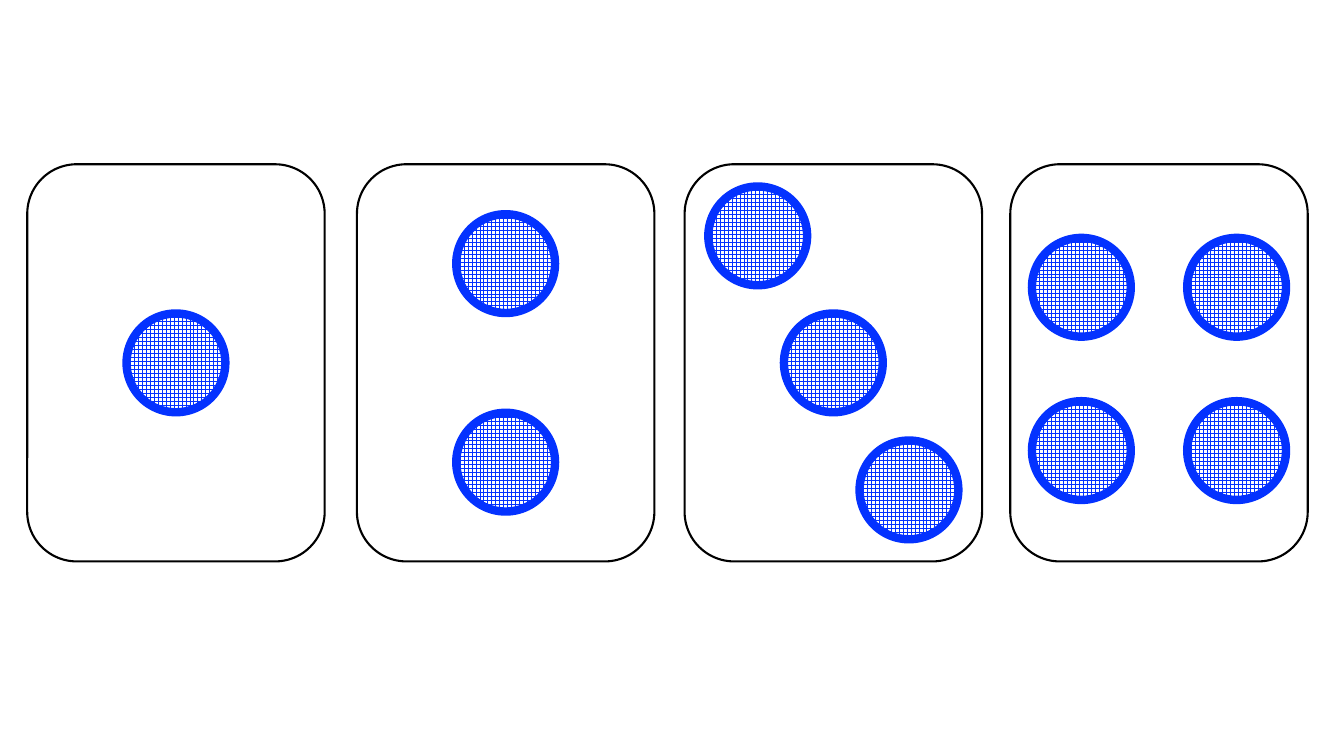
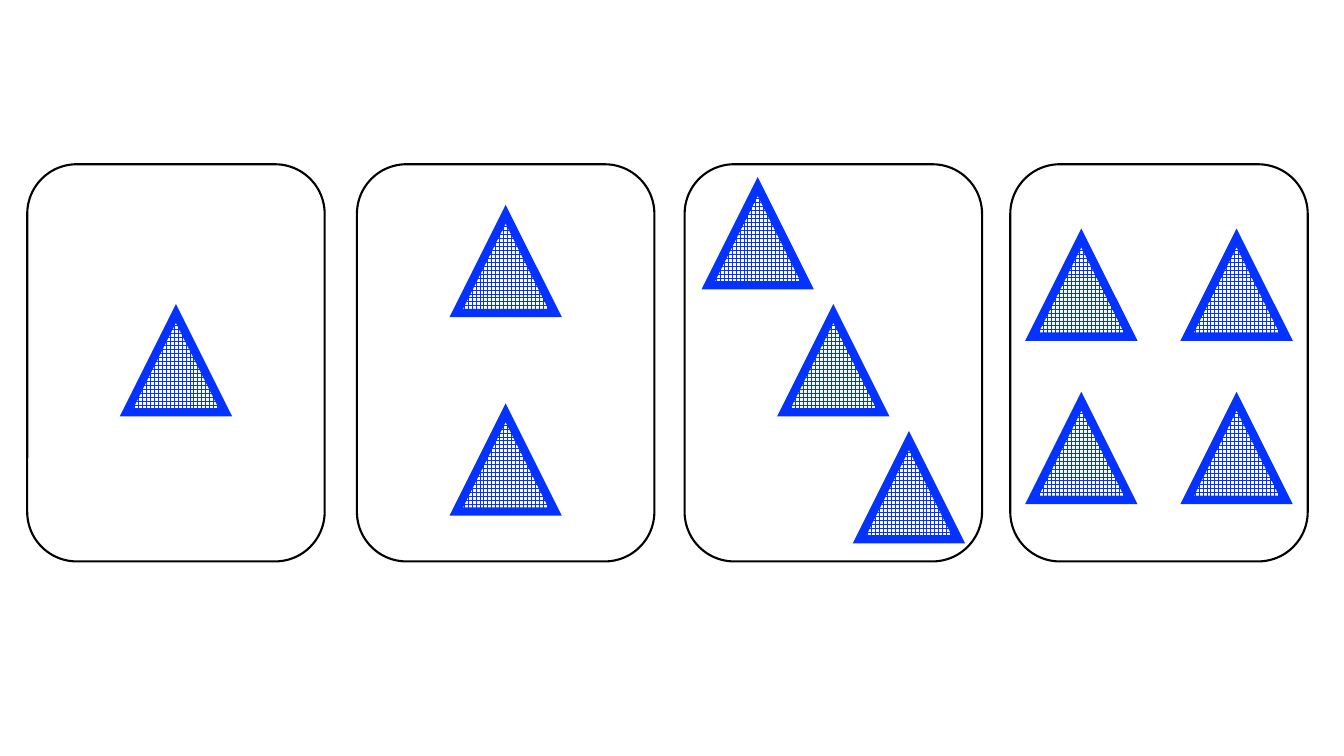
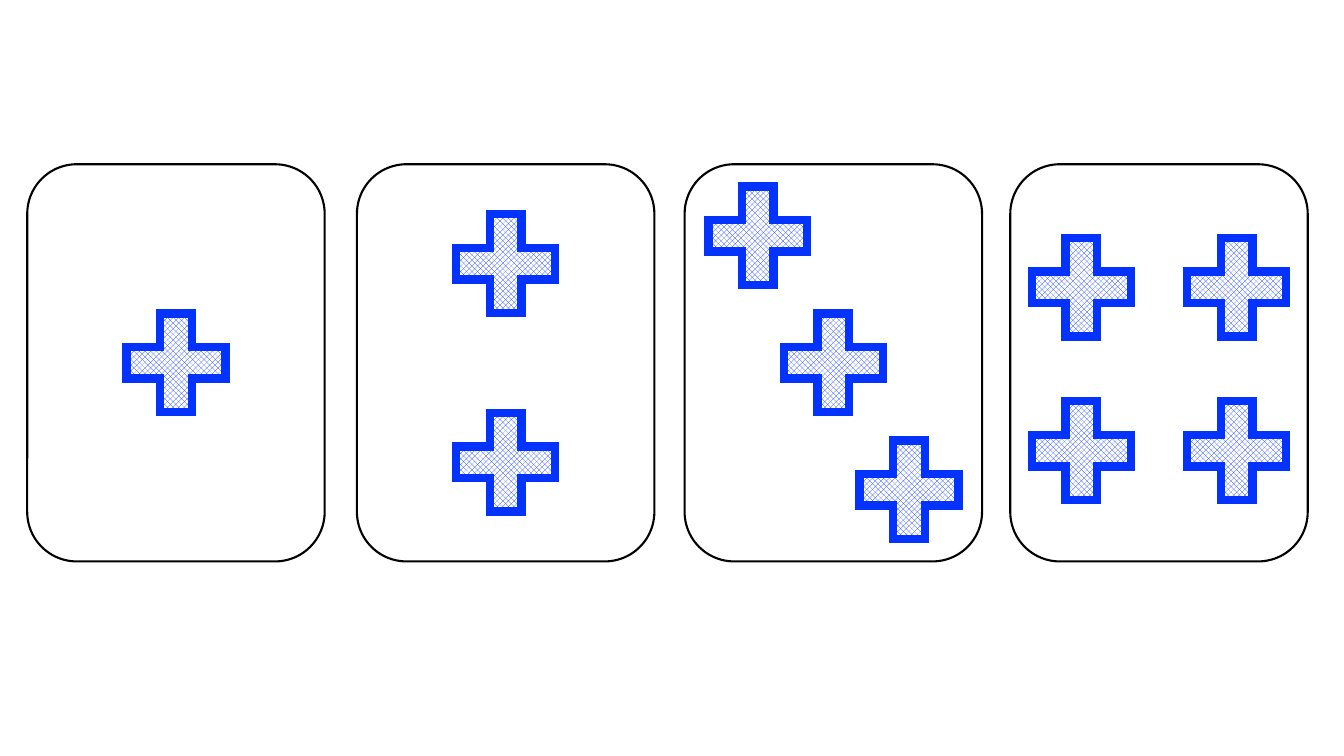
"""Three slides of playing cards showing one to four symbols each."""
from dataclasses import dataclass
from typing import Any

from lxml import etree
from pptx import Presentation
from pptx import util as u
from pptx.dml.color import RGBColor
from pptx.enum import dml, shapes
from pptx.oxml.ns import qn


@dataclass(frozen=True)
class Theme:
    """Colours and line widths (points) shared by all slides."""
    paper: RGBColor = RGBColor(0xFF, 0xFF, 0xFF)
    outline: RGBColor = RGBColor(0x00, 0x00, 0x00)
    symbol: RGBColor = RGBColor(0x04, 0x32, 0xFF)
    card_line: float = 1.5
    symbol_line: float = 6


@dataclass(frozen=True)
class Card:
    """A card and its symbols, as (column, row) steps from the card's centre."""
    left: float
    cells: tuple[tuple[float, float], ...]
    column_step: float = 0
    row_step: float = 0
    row_shift: float = 0


@dataclass(frozen=True)
class Suit:
    """The symbol used on every card of one slide."""
    preset: Any
    pattern: Any
    adjustment: float | None = None


THEME = Theme()

# Lengths in inches
SLIDE_WIDTH, SLIDE_HEIGHT = 13.33, 7.5
CARD_TOP, CARD_WIDTH, CARD_HEIGHT = 1.63, 2.95, 3.94
SYMBOL_SIZE = 0.98

CARDS = (
    Card(0.27, ((0, 0),)),
    Card(3.54, ((0, -1), (0, 1)), row_step=CARD_HEIGHT / 4),
    Card(6.79, ((-1, -1), (0, 0), (1, 1)), column_step=0.75, row_step=1.26),
    Card(10.02, ((-1, -1), (1, -1), (-1, 1), (1, 1)),
         column_step=0.77, row_step=0.81, row_shift=0.06),
)

SUITS = (
    Suit(shapes.MSO_SHAPE.OVAL, dml.MSO_PATTERN.LARGE_GRID),
    Suit(shapes.MSO_SHAPE.ISOSCELES_TRIANGLE, dml.MSO_PATTERN.LARGE_GRID),
    Suit(shapes.MSO_SHAPE.CROSS, dml.MSO_PATTERN.SOLID_DIAMOND, 0.34),
)


def add_outlined_shape(slide: Any, preset: Any, left: float, top: float,
                       width: float, height: float,
                       color: RGBColor, line_width: float) -> Any:
    """Add a preset shape with a sharp-cornered line and no shadow."""
    shape = slide.shapes.add_shape(
        preset, u.Inches(left), u.Inches(top), u.Inches(width), u.Inches(height))
    shape.shadow.inherit = False
    shape.line.color.rgb = color
    shape.line.width = u.Pt(line_width)
    line = shape.element.spPr.find(qn("a:ln"))
    etree.SubElement(line, qn("a:miter")).set("lim", "800000")
    return shape


def draw_symbol(slide: Any, suit: Suit, center_x: float, center_y: float) -> None:
    """Draw one patterned symbol around its centre."""
    symbol = add_outlined_shape(
        slide, suit.preset, center_x - SYMBOL_SIZE / 2, center_y - SYMBOL_SIZE / 2,
        SYMBOL_SIZE, SYMBOL_SIZE, THEME.symbol, THEME.symbol_line)
    symbol.fill.patterned()
    symbol.fill.pattern = suit.pattern
    symbol.fill.fore_color.rgb = THEME.symbol
    symbol.fill.back_color.rgb = THEME.paper
    if suit.adjustment is not None:
        symbol.adjustments[0] = suit.adjustment


def draw_card(slide: Any, card: Card, suit: Suit) -> None:
    """Draw a card outline and the symbols on it."""
    outline = add_outlined_shape(
        slide, shapes.MSO_SHAPE.ROUNDED_RECTANGLE, card.left, CARD_TOP,
        CARD_WIDTH, CARD_HEIGHT, THEME.outline, THEME.card_line)
    outline.fill.solid()
    outline.fill.fore_color.rgb = THEME.paper

    center_x = card.left + CARD_WIDTH / 2
    center_y = CARD_TOP + CARD_HEIGHT / 2 + card.row_shift
    for column, row in card.cells:
        draw_symbol(slide, suit, center_x + column * card.column_step,
                    center_y + row * card.row_step)


def main() -> None:
    presentation = Presentation()
    presentation.slide_width = u.Inches(SLIDE_WIDTH)
    presentation.slide_height = u.Inches(SLIDE_HEIGHT)
    blank_layout = presentation.slide_layouts[6]

    # One slide per suit
    for suit in SUITS:
        slide = presentation.slides.add_slide(blank_layout)
        for card in CARDS:
            draw_card(slide, card, suit)

    presentation.save("out.pptx")


if __name__ == "__main__":
    main()
